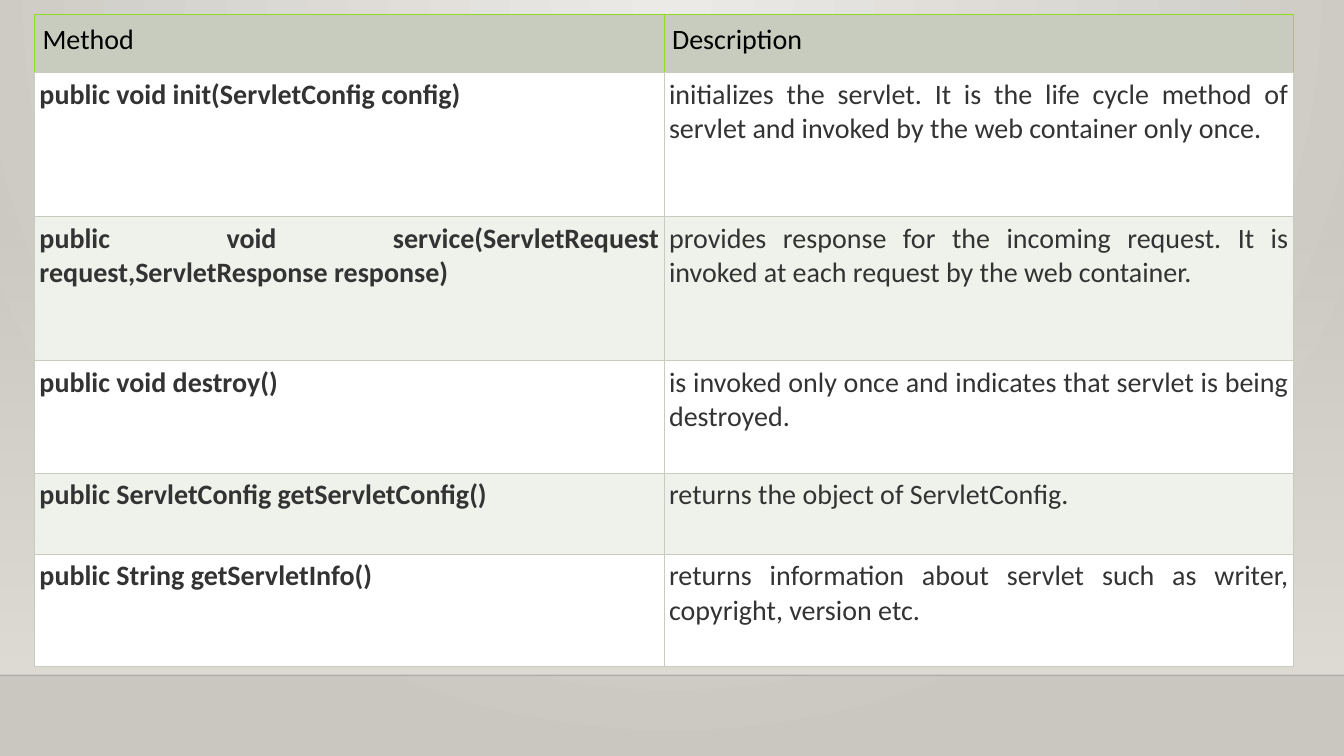
"""Build a slide with a table of servlet life cycle methods."""
from dataclasses import dataclass

from pptx import Presentation
from pptx.dml.color import RGBColor
from pptx.enum.shapes import MSO_CONNECTOR, MSO_SHAPE
from pptx.enum.text import PP_ALIGN
from pptx.oxml import parse_xml
from pptx.oxml.ns import nsdecls, qn
from pptx.util import Pt

RECTANGLE = MSO_SHAPE.RECTANGLE
STRAIGHT = MSO_CONNECTOR.STRAIGHT
LEFT = PP_ALIGN.LEFT
JUSTIFY = PP_ALIGN.JUSTIFY


@dataclass(frozen=True)
class Theme:
    font: str = "Calibri"
    text_size: int = 20
    header_text: str = "000000"
    body_text: str = "333333"
    header_fill: str = "C7CCBE"
    row_fills: tuple = ("FFFFFF", "EFF1EB")
    border: str = "C7CCBE"
    header_border: str = "90DC23"
    glow: str = "ECEAE7"
    edge: str = "CAC7C1"
    wall: str = "DFDBD5"
    floor_line: str = "000001"


THEME = Theme()
WIDTH, HEIGHT = 960, 540
WALL_TOP, FLOOR = 159, 482.4
TABLE_LEFT, TABLE_TOP = 24.6, 10.2
COLUMN_WIDTH = 449.7
ROW_HEIGHTS = (41.5, 103, 103, 80.3, 57.8, 80.3)
HEADER = ("Method", "Description")
METHODS = (
    ("public void init(ServletConfig config)",
     "initializes the servlet. It is the life cycle method of servlet "
     "and invoked by the web container only once."),
    ("public void service(ServletRequest request,ServletResponse response)",
     "provides response for the incoming request. It is invoked at each "
     "request by the web container."),
    ("public void destroy()",
     "is invoked only once and indicates that servlet is being destroyed."),
    ("public ServletConfig getServletConfig()",
     "returns the object of ServletConfig."),
    ("public String getServletInfo()",
     "returns information about servlet such as writer, copyright, "
     "version etc."),
)


def color(code):
    return RGBColor.from_string(code)


def paint_gradient(holder, stops, direction):
    """Replace the solid fill of an element by a two-stop gradient."""
    marks = "".join(
        f'<a:gs pos="{place * 1000}"><a:srgbClr val="{code}">'
        f'<a:alpha val="{opacity * 1000}"/></a:srgbClr></a:gs>'
        for place, code, opacity in stops)
    gradient = parse_xml(
        f'<a:gradFill {nsdecls("a")} rotWithShape="1">'
        f'<a:gsLst>{marks}</a:gsLst>{direction}</a:gradFill>')
    holder.replace(holder.find(qn("a:solidFill")), gradient)


def add_backdrop(page):
    page.background.fill.solid()
    paint_gradient(
        page.element.find(".//" + qn("p:bgPr")),
        ((0, THEME.glow, 100), (100, THEME.edge, 100)),
        '<a:path path="circle">'
        '<a:fillToRect l="43000" r="43000" b="100000"/></a:path>')


def add_wall(page):
    wall = page.shapes.add_shape(
        RECTANGLE, 0, Pt(WALL_TOP), Pt(WIDTH), Pt(FLOOR - WALL_TOP))
    wall.shadow.inherit = False
    wall.line.fill.background()
    wall.fill.solid()
    paint_gradient(
        wall.element.spPr,
        ((0, THEME.wall, 0), (100, THEME.wall, 100)),
        '<a:lin ang="5400000" scaled="0"/>')


def add_floor_line(page):
    line = page.shapes.add_connector(
        STRAIGHT, 0, Pt(FLOOR), Pt(WIDTH), Pt(FLOOR))
    line.line.width = Pt(1)
    line.line.color.rgb = color(THEME.floor_line)
    shade = line.line.color._xFill.find(qn("a:srgbClr"))
    shade.append(parse_xml(f'<a:alpha {nsdecls("a")} val="20000"/>'))
    line.element.spPr.append(parse_xml(f'<a:effectLst {nsdecls("a")}/>'))


def set_borders(cell, sides):
    properties = cell._tc.get_or_add_tcPr()
    for side, code in zip("LRTB", sides):
        properties.append(parse_xml(
            f'<a:ln{side} {nsdecls("a")} w="{Pt(0.75)}"><a:solidFill>'
            f'<a:srgbClr val="{code}"/></a:solidFill></a:ln{side}>'))


def fill_cell(cell, text, fill, ink, inset, align, bold, sides):
    set_borders(cell, sides)
    cell.fill.solid()
    cell.fill.fore_color.rgb = color(fill)
    cell.margin_left = cell.margin_right = Pt(inset)
    cell.margin_top = cell.margin_bottom = Pt(inset)
    para = cell.text_frame.paragraphs[0]
    para.alignment = align
    span = para.add_run()
    span.text = text
    span.font.name = THEME.font
    span.font.size = Pt(THEME.text_size)
    span.font.bold = bold
    span.font.color.rgb = color(ink)


def add_method_table(page):
    frame = page.shapes.add_table(
        len(ROW_HEIGHTS), len(HEADER), Pt(TABLE_LEFT), Pt(TABLE_TOP),
        Pt(COLUMN_WIDTH * len(HEADER)), Pt(sum(ROW_HEIGHTS)))
    table = frame.table
    table.first_row = table.horz_banding = False
    for column in table.columns:
        column.width = Pt(COLUMN_WIDTH)
    for row, height in zip(table.rows, ROW_HEIGHTS):
        row.height = Pt(height)
    header_sides = (THEME.header_border,) * 3 + (THEME.border,)
    for column, text in enumerate(HEADER):
        fill_cell(table.cell(0, column), text, THEME.header_fill,
                  THEME.header_text, 5.76, LEFT, False, header_sides)
    for row, texts in enumerate(METHODS, start=1):
        fill = THEME.row_fills[(row - 1) % 2]
        for column, text in enumerate(texts):
            fill_cell(table.cell(row, column), text, fill, THEME.body_text,
                      3.6, JUSTIFY, column == 0, (THEME.border,) * 4)


def main():
    deck = Presentation()
    deck.slide_width, deck.slide_height = Pt(WIDTH), Pt(HEIGHT)
    page = deck.slides.add_slide(deck.slide_layouts[6])
    add_backdrop(page)
    add_wall(page)
    add_floor_line(page)
    add_method_table(page)
    deck.save("out.pptx")


if __name__ == "__main__":
    main()
